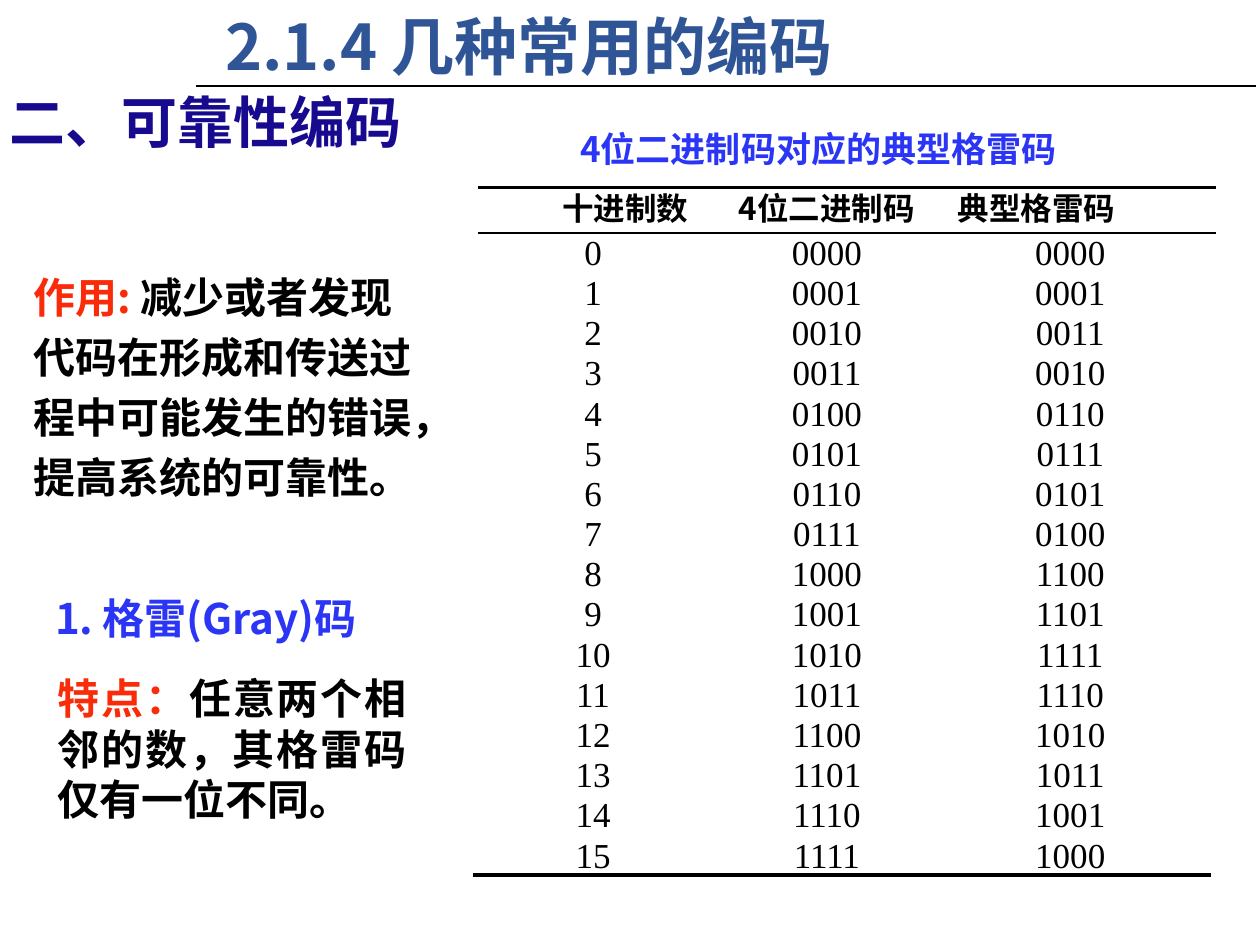
from dataclasses import dataclass

from lxml import etree
from pptx import Presentation
from pptx.dml.color import RGBColor
from pptx.enum import shapes, text
from pptx.oxml import ns
from pptx.util import Cm, Pt

LEFT, CENTER, JUSTIFY = text.PP_ALIGN.LEFT, text.PP_ALIGN.CENTER, text.PP_ALIGN.JUSTIFY


@dataclass(frozen=True)
class Theme:
    heading_font: str = "Noto Sans CJK SC"
    digit_font: str = "Times New Roman"
    title: str = "2F5597"
    section: str = "170A8E"
    accent: str = "2B35F5"
    label: str = "FA2B08"
    ink: str = "000000"
    title_size: int = 36
    section_size: int = 32
    body_size: int = 24
    table_size: int = 20
    header_size: int = 18


THEME = Theme()


def write(paragraph, content, *, size, color=THEME.ink, font=THEME.heading_font,
          bold=True, align=LEFT, leading=1.2):
    """Add a formatted run; leading is a multiple of the type size."""
    paragraph.alignment = align
    paragraph.line_spacing = Pt(round(size * leading, 1))
    run = paragraph.add_run()
    run.text = content
    run.font.size = Pt(size)
    run.font.bold = bold
    run.font.name = font
    run.font.color.rgb = RGBColor.from_string(color)
    east_asian = etree.SubElement(run.font._element, ns.qn("a:ea"))
    east_asian.set("typeface", font)


class SlideBuilder:
    def __init__(self, slide, theme):
        self.slide = slide
        self.theme = theme

    def text_box(self, left, top, width, height, *parts, **style):
        """Each part is a (text, colour) pair in one paragraph."""
        box = self.slide.shapes.add_textbox(Cm(left), Cm(top), Cm(width), Cm(height))
        box.text_frame.word_wrap = True
        for content, color in parts:
            write(box.text_frame.paragraphs[0], content, color=color, **style)

    def rule(self, left, right, y, weight):
        line = self.slide.shapes.add_connector(
            shapes.MSO_CONNECTOR.STRAIGHT, Cm(left), Cm(y), Cm(right), Cm(y))
        line.line.color.rgb = RGBColor.from_string(self.theme.ink)
        line.line.width = Pt(weight)
        etree.SubElement(line._element.spPr, ns.qn("a:effectLst"))

    def table(self, left, top, widths, header, rows, header_height, row_height,
              header_margins):
        height = header_height + row_height * len(rows)
        table = self.slide.shapes.add_table(
            len(rows) + 1, len(widths), Cm(left), Cm(top), Cm(sum(widths)), Cm(height)).table
        table.first_row = table.horz_banding = False
        for column, width in zip(table.columns, widths):
            column.width = Cm(width)
        for r, values in enumerate([header, *rows]):
            table.rows[r].height = Cm(row_height if r else header_height)
            for c, value in enumerate(values):
                cell = table.cell(r, c)
                cell.fill.background()
                cell.vertical_anchor = text.MSO_ANCHOR.MIDDLE
                cell.margin_top = cell.margin_bottom = 0
                before, after = (0, 0) if r else header_margins[c]
                cell.margin_left, cell.margin_right = Cm(before), Cm(after)
                paragraph = cell.text_frame.paragraphs[0]
                if r:
                    write(paragraph, value, size=self.theme.table_size, bold=False,
                          font=self.theme.digit_font, align=CENTER, leading=1.12)
                else:
                    write(paragraph, value, size=self.theme.header_size, align=CENTER)


def main():
    deck = Presentation()
    deck.slide_width, deck.slide_height = Cm(25.4), Cm(19.05)
    page = SlideBuilder(deck.slides.add_slide(deck.slide_layouts[6]), THEME)

    # Title and section heading
    page.rule(3.96, 25.32, 1.73, 1.25)
    page.text_box(4.29, 0.03, 18.44, 1.8, ("2.1.4 几种常用的编码", THEME.title),
                  size=THEME.title_size)
    page.text_box(-0.05, 1.63, 19.69, 1.63, ("二、可靠性编码", THEME.section),
                  size=THEME.section_size)

    # Purpose of reliable codes
    page.text_box(0.43, 5.16, 8.38, 5.18, ("作用: ", THEME.label),
                  ("减少或者发现代码在形成和传送过程中可能发生的错误，提高系统的可靠性。", THEME.ink),
                  size=THEME.body_size, leading=1.43)

    # Gray code and its property
    page.text_box(0.86, 11.81, 8.99, 1.27, ("1. 格雷(Gray)码", THEME.accent),
                  size=THEME.body_size, align=JUSTIFY)
    page.text_box(0.91, 13.44, 7.54, 3.33, ("特点：", THEME.label),
                  ("任意两个相邻的数，其格雷码仅有一位不同。", THEME.ink),
                  size=THEME.body_size, align=JUSTIFY)

    # Table of 4-bit binary and Gray codes
    page.text_box(9.86, 2.44, 13.28, 1.12, ("4位二进制码对应的典型格雷码", THEME.accent),
                  size=THEME.table_size, align=CENTER)
    codes = [(str(n), f"{n:04b}", f"{n ^ n >> 1:04b}") for n in range(16)]
    page.table(9.63, 3.78, [4.65, 4.78, 5.03],
               ["十进制数", "4位二进制码", "典型格雷码"], codes,
               header_height=0.92, row_height=0.81,
               header_margins=[(1.3, 0), (0, 0), (0, 1.37)])
    for left, y, weight in [(9.63, 3.78, 2.25), (9.63, 4.7, 1), (9.53, 17.63, 2.25)]:
        page.rule(left, left + 14.88, y, weight)

    deck.save("out.pptx")


if __name__ == "__main__":
    main()
